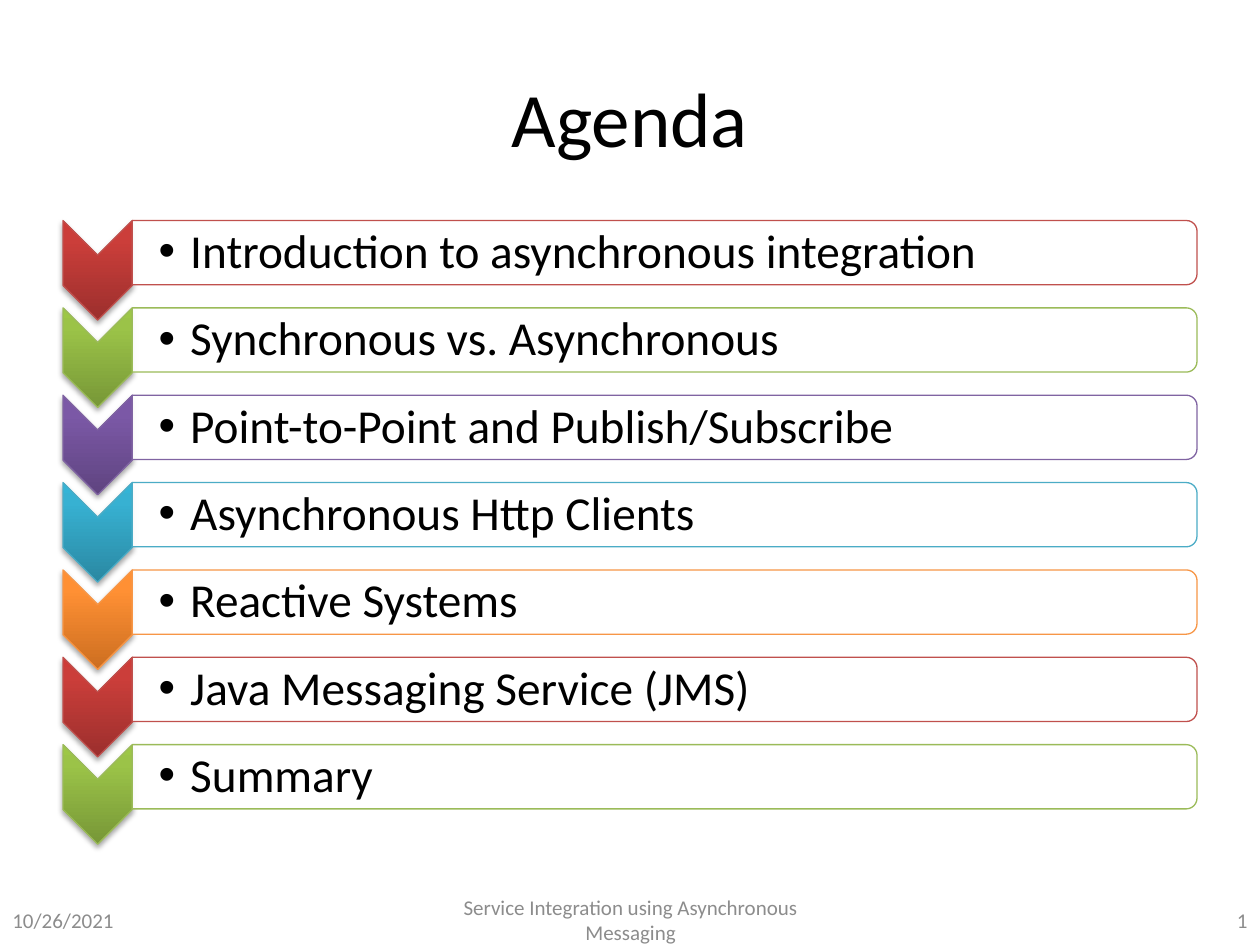
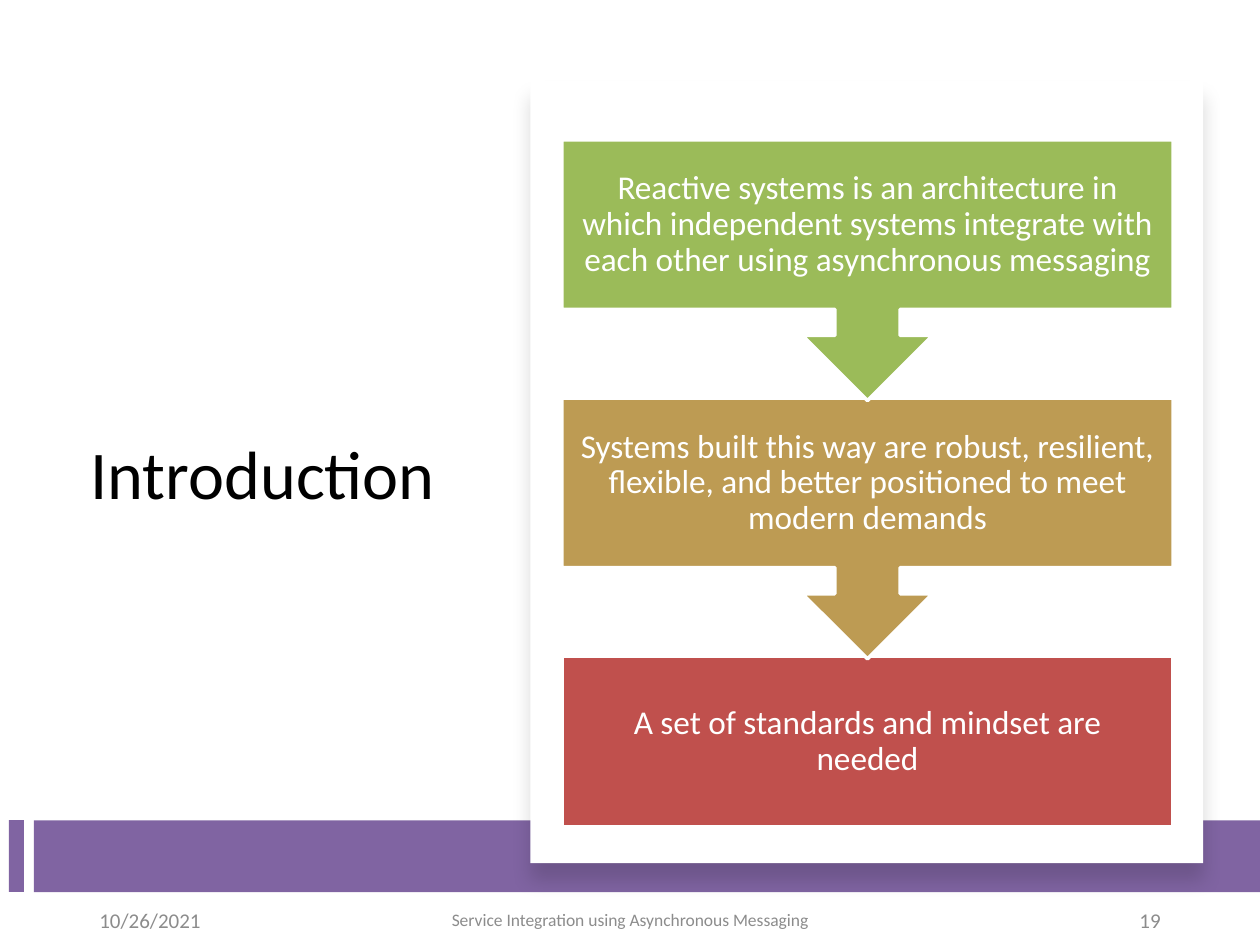
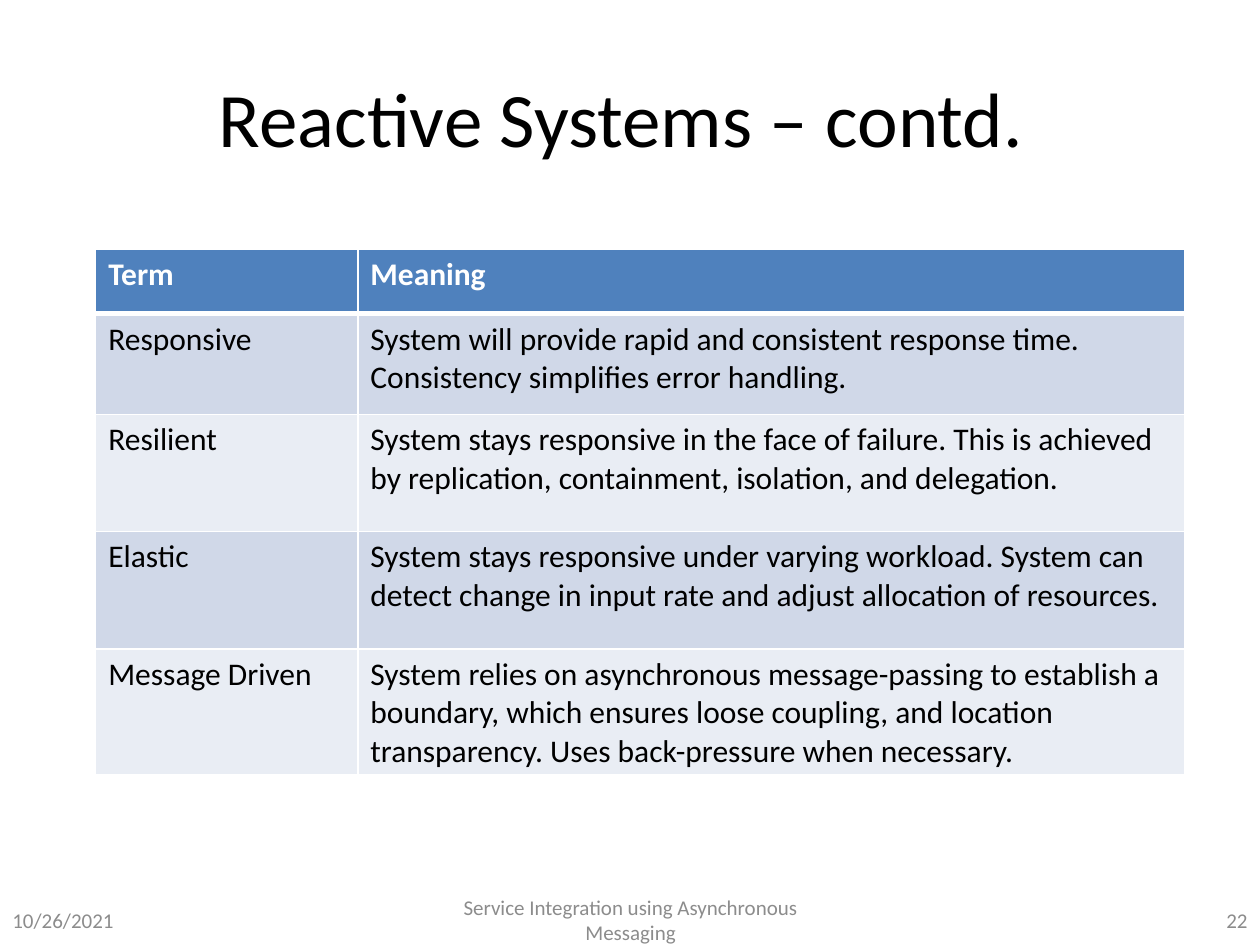
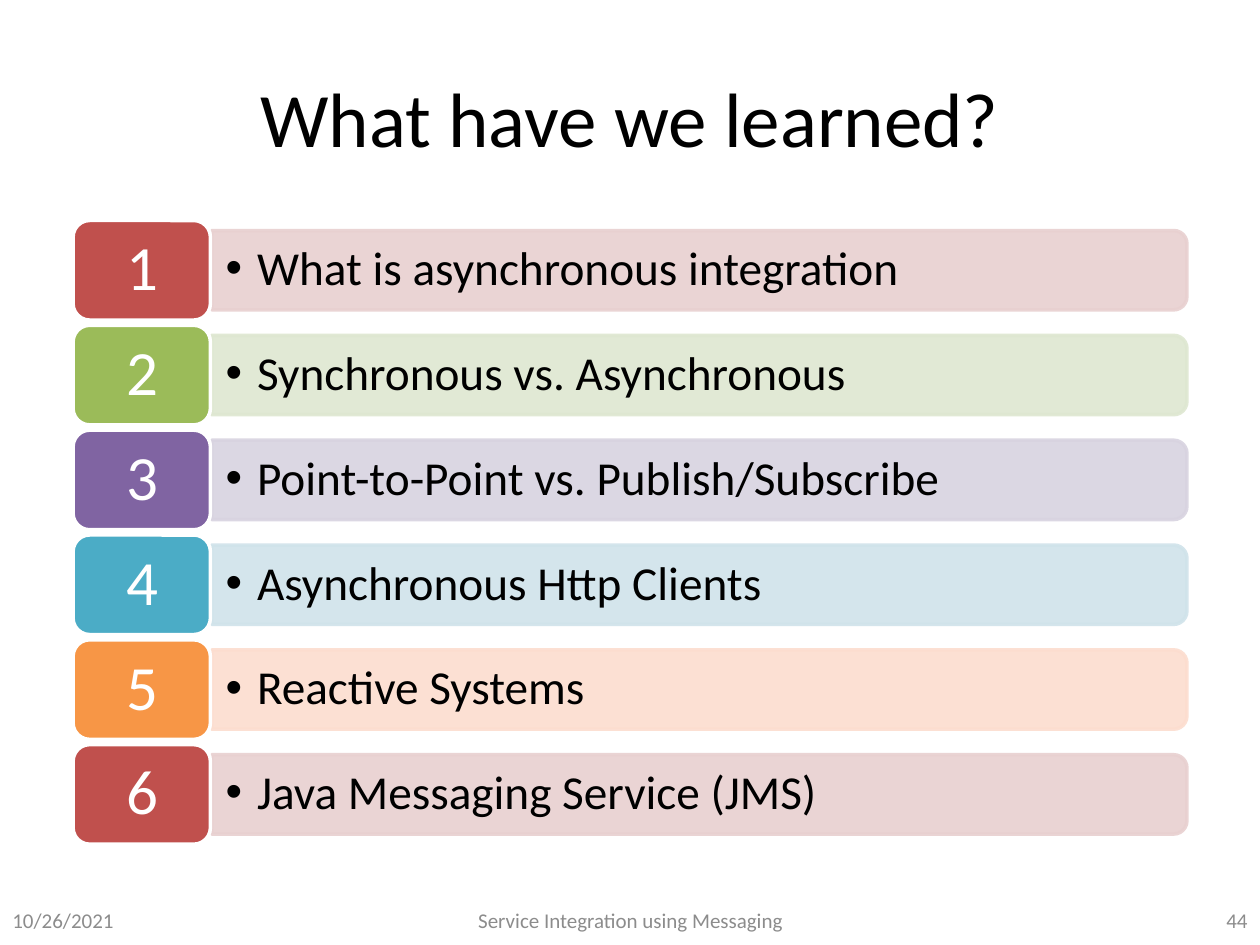
from lxml import etree
from pptx import Presentation
from pptx.dml.color import RGBColor
from pptx.enum.shapes import MSO_SHAPE
from pptx.enum.text import MSO_ANCHOR, PP_ALIGN
from pptx.oxml import parse_xml
from pptx.oxml.ns import nsdecls, qn
from pptx.util import Inches, Pt

LEFT, CENTER, RIGHT = PP_ALIGN.LEFT, PP_ALIGN.CENTER, PP_ALIGN.RIGHT
TOP, MIDDLE = MSO_ANCHOR.TOP, MSO_ANCHOR.MIDDLE
RECT = MSO_SHAPE.RECTANGLE
ROUNDED = MSO_SHAPE.ROUNDED_RECTANGLE
TAB = MSO_SHAPE.ROUND_2_SAME_RECTANGLE
CHEVRON = MSO_SHAPE.CHEVRON
CALLOUT = MSO_SHAPE.UP_ARROW_CALLOUT

# Shared style
FONT = "Calibri"
BLACK, WHITE, GRAY = "000000", "FFFFFF", "8C8C8C"
RED, GREEN, PURPLE, TEAL, ORANGE = "C0504D", "9BBB59", "8064A2", "4BACC6", "F79646"
BLUE, GOLD = "4F81BD", "BD9B53"
CYCLE = [RED, GREEN, PURPLE, TEAL, ORANGE]
TINTS = ["E8D0D0", "DEE7D1", "D8D3E0", "D0E3EA", "FCDDCF"]
GRADIENTS = [
    ("9C2F2D", "CB3E3A", "CE3B37"),
    ("779737", "9BC348", "9DC746"),
    ("5F4480", "7B58A6", "7C57A8"),
    ("2A88A2", "37B1D2", "34B4D6"),
    ("CC6E20", "FF9034", "FF9136"),
]
TABLE_BANDS = ["D0D8E8", "E9EDF4"]
DATE = "10/26/2021"
COURSE = "Service Integration using Asynchronous Messaging"


def rgb(value):
    return RGBColor.from_string(value)


def write(frame, text, size=18, color=BLACK, align=LEFT, anchor=TOP, bold=False,
          spacing=None, bullet=False, insets=None):
    """Put one formatted paragraph into a text frame."""
    frame.word_wrap = True
    frame.vertical_anchor = anchor
    if insets:
        frame.margin_left, frame.margin_top, frame.margin_right, frame.margin_bottom = map(Inches, insets)
    paragraph = frame.paragraphs[0]
    paragraph.alignment = align
    if spacing:
        paragraph.line_spacing = spacing
    run = paragraph.add_run()
    run.text = text
    run.font.name, run.font.size, run.font.bold = FONT, Pt(size), bold
    run.font.color.rgb = rgb(color)
    if bullet:
        paragraph.level = 1
        props = paragraph._p.get_or_add_pPr()
        props.set("marL", str(Inches(0.25)))
        props.set("indent", str(Inches(-0.25)))
        etree.SubElement(props, qn("a:buFont"), typeface="Arial")
        etree.SubElement(props, qn("a:buChar"), char="•")


class Deck:
    """Holds the presentation, its style and the current slide."""

    def __init__(self):
        self.prs = Presentation()
        self.prs.slide_width, self.prs.slide_height = Inches(10), Inches(7.5)
        self.slide = None

    def new_slide(self, title, box=(0.5, 0.3, 9, 1.25), size=44):
        self.slide = self.prs.slides.add_slide(self.prs.slide_layouts[6])
        self.text(title, box, size=size, align=CENTER, anchor=MIDDLE)

    def text(self, text, box, **style):
        frame = self.slide.shapes.add_textbox(*map(Inches, box)).text_frame
        write(frame, text, **style)

    def shape(self, kind, box, fill, line=None, weight=0.75, turn=0, opacity=None):
        """Add a shape that covers box once it has been turned."""
        left, top, width, height = box
        if turn in (90, 270):
            left, top = left + (width - height) / 2, top + (height - width) / 2
            width, height = height, width
        shape = self.slide.shapes.add_shape(kind, *map(Inches, (left, top, width, height)))
        shape.rotation = turn
        shape.shadow.inherit = False
        shape.fill.solid()
        shape.fill.fore_color.rgb = rgb(fill)
        if line:
            shape.line.color.rgb = rgb(line)
            shape.line.width = Pt(weight)
        else:
            shape.line.fill.background()
        if opacity:
            for color in shape._element.spPr.iter(qn("a:srgbClr")):
                if color.get("val") == fill:
                    etree.SubElement(color, qn("a:alpha"), val=str(opacity * 1000))
        return shape

    def gradient(self, shape, colors):
        stops = "".join(
            f'<a:gs pos="{pos}"><a:srgbClr val="{color}"/></a:gs>'
            for pos, color in zip((0, 80000, 100000), colors))
        props = shape._element.spPr
        props.replace(props.find(qn("a:solidFill")), parse_xml(
            f'<a:gradFill {nsdecls("a")} rotWithShape="0"><a:gsLst>{stops}</a:gsLst>'
            '<a:lin ang="16200000" scaled="0"/></a:gradFill>'))

    def shadow(self, shape, opacity, blur, distance):
        effects = shape._element.spPr.find(qn("a:effectLst"))
        effects.append(parse_xml(
            f'<a:outerShdw {nsdecls("a")} blurRad="{Pt(blur)}" dist="{Pt(distance)}" '
            f'dir="5400000" rotWithShape="0"><a:srgbClr val="{BLACK}">'
            f'<a:alpha val="{opacity * 1000}"/></a:srgbClr></a:outerShdw>'))

    def footer(self, number, course=COURSE, size=12, margin=0, side=2.33, middle=(3.42, 3.17)):
        parts = [
            (DATE, margin, side, LEFT, 12),
            (course, *middle, CENTER, size),
            (number, 10 - margin - side, side, RIGHT, 12),
        ]
        for text, left, width, align, points in parts:
            self.text(text, (left, 7.1, width, 0.4), size=points, color=GRAY,
                      align=align, anchor=MIDDLE)

    def table(self, rows, box, widths, heights):
        table = self.slide.shapes.add_table(len(rows), len(widths), *map(Inches, box)).table
        for column, width in zip(table.columns, widths):
            column.width = Inches(width)
        for r, (row, height) in enumerate(zip(rows, heights)):
            table.rows[r].height = Inches(height)
            header = r == 0
            for c, text in enumerate(row):
                cell = table.cell(r, c)
                cell.fill.solid()
                cell.fill.fore_color.rgb = rgb(BLUE if header else TABLE_BANDS[(r - 1) % 2])
                write(cell.text_frame, text, bold=header, color=WHITE if header else BLACK)
                self.borders(cell, top=3 if r == 1 else 1, bottom=3 if header else 1)

    def borders(self, cell, top, bottom):
        props = cell._tc.get_or_add_tcPr()
        for i, (side, weight) in enumerate(zip("LRTB", (1, 1, top, bottom))):
            props.insert(i, parse_xml(
                f'<a:ln{side} {nsdecls("a")} w="{Pt(weight)}"><a:solidFill>'
                f'<a:srgbClr val="{WHITE}"/></a:solidFill></a:ln{side}>'))


def agenda(deck):
    deck.new_slide("Agenda")
    topics = [
        "Introduction to asynchronous integration",
        "Synchronous vs. Asynchronous",
        "Point-to-Point and Publish/Subscribe",
        "Asynchronous Http Clients",
        "Reactive Systems",
        "Java Messaging Service (JMS)",
        "Summary",
    ]
    pitch = 4.16 / 6
    for i, topic in enumerate(topics):
        top = 1.75 + i * pitch
        color = CYCLE[i % len(CYCLE)]
        marker = deck.shape(CHEVRON, (0.5, top, 0.55, 0.79), color, line=color, turn=90)
        deck.gradient(marker, GRADIENTS[i % len(GRADIENTS)])
        deck.shadow(marker, opacity=35, blur=3.1, distance=1.8)
        deck.shape(TAB, (1.05, top, 8.45, 0.51), WHITE, line=color, turn=90, opacity=90)
        deck.text(topic, (1.05, top + 0.03, 8.42, 0.46), size=27, anchor=MIDDLE,
                  spacing=0.9, bullet=True, insets=(0.21, 0.02, 0.02, 0.02))
    deck.footer("1")


def introduction(deck):
    deck.new_slide("Introduction", box=(0.53, 1.2, 3.11, 5.1), size=39)

    # Purple band and the white panel over it
    deck.shape(RECT, (0.07, 6.51, 0.12, 0.57), PURPLE, turn=90)
    deck.shape(RECT, (0.27, 6.51, 9.73, 0.57), PURPLE, turn=270)
    panel = deck.shape(RECT, (4.21, 0.64, 5.34, 6.21), WHITE)
    deck.shadow(panel, opacity=15, blur=11, distance=10)
    deck.footer("19", size=10, margin=0.69, side=2.25, middle=(3.31, 3.38))

    # Steps, drawn from the last up so that each arrow lies over the next step
    steps = [
        ("A set of standards and mindset are needed", RED, RECT, 1.35, 0),
        ("Systems built this way are robust, resilient, flexible, and better "
         "positioned to meet modern demands", GOLD, CALLOUT, 2.07, 180),
        ("Reactive systems is an architecture in which independent systems integrate "
         "with each other using asynchronous messaging", GREEN, CALLOUT, 2.07, 180),
    ]
    for i, (step, color, kind, height, turn) in enumerate(steps):
        top = 5.21 - i * 2.05
        deck.shape(kind, (4.46, top, 4.85, height), color, line=WHITE, weight=2, turn=turn)
        deck.text(step, (4.46, top, 4.85, 1.35), size=19, color=WHITE, align=CENTER,
                  anchor=MIDDLE, spacing=0.9, insets=(0.15,) * 4)


def reactive_terms(deck):
    # The trailing space keeps the centred title slightly to the left
    deck.new_slide("Reactive Systems – contd. ")
    deck.footer("22")
    terms = [
        ("Term", "Meaning"),
        ("Responsive", "System will provide rapid and consistent response time. "
                       "Consistency simplifies error handling."),
        ("Resilient", "System stays responsive in the face of failure. This is achieved by "
                      "replication, containment, isolation, and delegation."),
        ("Elastic", "System stays responsive under varying workload. System can detect "
                    "change in input rate and adjust allocation of resources."),
        ("Message Driven", "System relies on asynchronous message-passing to establish a "
                           "boundary, which ensures loose coupling, and location "
                           "transparency. Uses back-pressure when necessary."),
    ]
    deck.table(terms, (0.76, 1.98, 8.64, 4.16), widths=(2.08, 6.56),
               heights=(0.51, 0.8, 0.93, 0.93, 0.93))


def lessons_learned(deck):
    deck.new_slide("What have we learned?")
    lessons = [
        "What is asynchronous integration",
        "Synchronous vs. Asynchronous",
        "Point-to-Point vs. Publish/Subscribe",
        "Asynchronous Http Clients",
        "Reactive Systems",
        "Java Messaging Service (JMS)",
    ]
    pitch = 4.16 / 5
    for i, lesson in enumerate(lessons):
        top = 1.75 + i * pitch
        color, tint = CYCLE[i % len(CYCLE)], TINTS[i % len(TINTS)]
        deck.shape(TAB, (1.68, top + 0.08, 7.74, 0.63), tint, line=tint, weight=2,
                   turn=90, opacity=90)
        deck.text(lesson, (1.68, top + 0.11, 7.71, 0.57), size=27, anchor=MIDDLE,
                  spacing=0.9, bullet=True, insets=(0.11, 0.06, 0.11, 0.06))
        deck.shape(ROUNDED, (0.58, top, 1.09, 0.79), color, line=WHITE, weight=2)
        deck.text(str(i + 1), (0.62, top + 0.04, 1.02, 0.71), size=36, color=WHITE,
                  align=CENTER, anchor=MIDDLE, spacing=0.9, insets=(0.15, 0.07, 0.15, 0.07))
    deck.footer("44", course="Service Integration using Messaging")


def main():
    deck = Deck()
    agenda(deck)
    introduction(deck)
    reactive_terms(deck)
    lessons_learned(deck)
    deck.prs.save("out.pptx")


if __name__ == "__main__":
    main()
